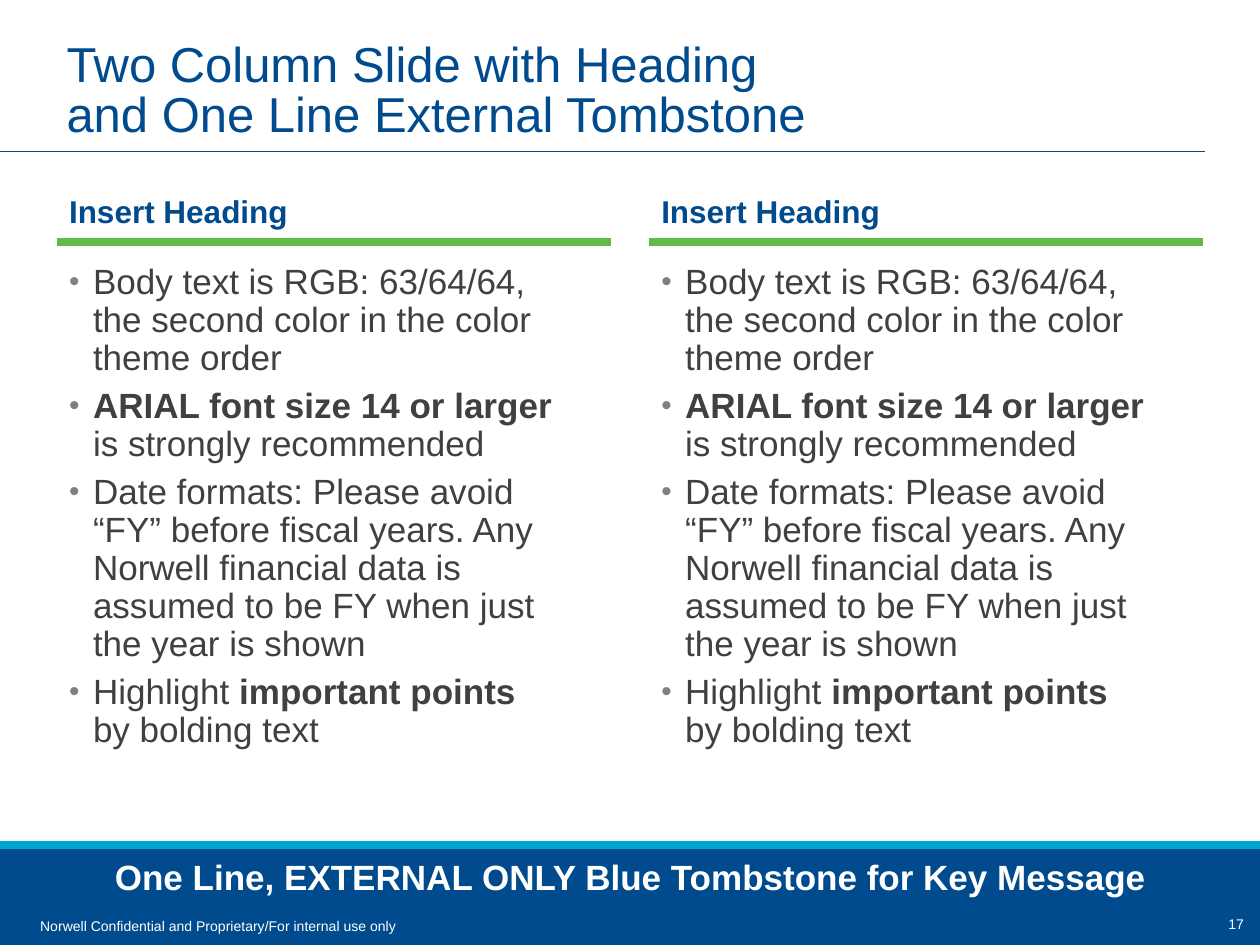
from lxml.etree import SubElement
from pptx import Presentation
from pptx.dml.color import RGBColor
from pptx.enum.shapes import MSO_CONNECTOR as Connector, MSO_SHAPE as Shape
from pptx.enum.text import MSO_ANCHOR as Anchor, PP_ALIGN as Align
from pptx.oxml.ns import qn
from pptx.util import Inches, Pt

BLUE = RGBColor(0x00, 0x4B, 0x8D)
CYAN = RGBColor(0x00, 0xA4, 0xD2)
GREEN = RGBColor(0x62, 0xBB, 0x46)
GRAY = RGBColor(0x3F, 0x40, 0x40)
BULLET_GRAY = RGBColor(0x80, 0x80, 0x80)
WHITE = RGBColor(0xFF, 0xFF, 0xFF)

COLUMN_LEFTS = (0.45, 5.15)
COLUMN_WIDTH = 4.4
INDENT = 0.19

# Each paragraph is a list of (text, bold) spans
BULLETS = [
    [("Body text is RGB: 63/64/64, \nthe second color in the color theme order", False)],
    [("ARIAL font size 14 or larger \n", True), ("is strongly recommended", False)],
    [("Date formats: Please avoid \n“FY” before fiscal years. Any Norwell financial "
      "data is assumed to be FY when just \nthe year is shown", False)],
    [("Highlight ", False), ("important points \n", True), ("by bolding text", False)],
]


def add_bullet(para):
    props = para._p.get_or_add_pPr()
    props.set("marL", str(Inches(INDENT)))
    props.set("indent", str(-Inches(INDENT)))
    color = SubElement(props, qn("a:buClr"))
    SubElement(color, qn("a:srgbClr"), val=str(BULLET_GRAY))
    SubElement(props, qn("a:buSzPct"), val="85000")
    SubElement(props, qn("a:buFont"), typeface="Arial")
    SubElement(props, qn("a:buChar"), char="•")


def add_span(para, text, size, color, bold):
    for index, line in enumerate(text.split("\n")):
        if index:
            para.add_line_break()
        if line:
            span = para.add_run()
            span.text = line
            span.font.name = "Arial"
            span.font.size = Pt(size)
            span.font.bold = bold
            span.font.color.rgb = color


def add_text(page, content, at, size, color, bold=False, align=Align.LEFT,
             anchor=Anchor.TOP, top=0.05, bottom=0.05, line_spacing=1.0,
             gap=0, bullets=False):
    """Content is a string, or a list of paragraphs made of (text, bold) spans."""
    box = page.shapes.add_textbox(*map(Inches, at))
    frame = box.text_frame
    frame.word_wrap = True
    frame.vertical_anchor = anchor
    frame.margin_top, frame.margin_bottom = Inches(top), Inches(bottom)
    paragraphs = [[(content, bold)]] if isinstance(content, str) else content
    for index, spans in enumerate(paragraphs):
        para = frame.add_paragraph() if index else frame.paragraphs[0]
        para.alignment = align
        para.line_spacing = line_spacing
        para.space_before = para.space_after = Pt(gap)
        if bullets:
            add_bullet(para)
        for text, span_bold in spans:
            add_span(para, text, size, color, span_bold)


def add_rule(page, left, right, y, color, width):
    rule = page.shapes.add_connector(
        Connector.STRAIGHT, Inches(left), Inches(y), Inches(right), Inches(y))
    rule.line.color.rgb = color
    rule.line.width = Pt(width)
    SubElement(rule._element.spPr, qn("a:effectLst"))


def add_band(page, at, color):
    band = page.shapes.add_shape(Shape.RECTANGLE, *map(Inches, at))
    band.shadow.inherit = False
    band.fill.solid()
    band.fill.fore_color.rgb = color
    band.line.fill.background()


def add_column(page, left):
    add_text(page, "Insert Heading", (left, 1.33, COLUMN_WIDTH, 0.5), 18, BLUE,
             bold=True, anchor=Anchor.BOTTOM, top=0.1, bottom=0,
             line_spacing=0.9, gap=3)
    add_rule(page, left, left + COLUMN_WIDTH, 1.92, GREEN, 4.5)
    add_text(page, BULLETS, (left, 2, COLUMN_WIDTH, 5.03), 20, GRAY,
             top=0.1, line_spacing=0.9, gap=3, bullets=True)


def main():
    deck = Presentation()
    deck.slide_width, deck.slide_height = Inches(10), Inches(7.5)
    page = deck.slides.add_slide(deck.slide_layouts[6])

    # Footer band
    add_band(page, (0, 6.71, 10, 0.79), BLUE)
    add_rule(page, 0, 10, 6.71, CYAN, 4.5)

    # Title
    add_text(page, "Two Column Slide with Heading \nand One Line External Tombstone",
             (0.43, 0.14, 9.14, 1.04), 28, BLUE, anchor=Anchor.BOTTOM,
             line_spacing=0.85)
    add_rule(page, 0, 9.56, 1.2, BLUE, 0.75)

    # Two columns
    for left in COLUMN_LEFTS:
        add_column(page, left)

    # Key message, confidentiality note and page number
    add_text(page, "One Line, EXTERNAL ONLY Blue Tombstone for Key Message",
             (0.12, 6.83, 9.77, 0.39), 20, WHITE, bold=True, align=Align.CENTER,
             top=0, line_spacing=0.9)
    add_text(page, "Norwell Confidential and Proprietary/For internal use only",
             (0.22, 7.23, 9.12, 0.27), 8, WHITE)
    add_text(page, "17", (9.38, 7.23, 0.59, 0.21), 8, WHITE, align=Align.RIGHT,
             anchor=Anchor.MIDDLE)

    deck.save("out.pptx")


if __name__ == "__main__":
    main()
